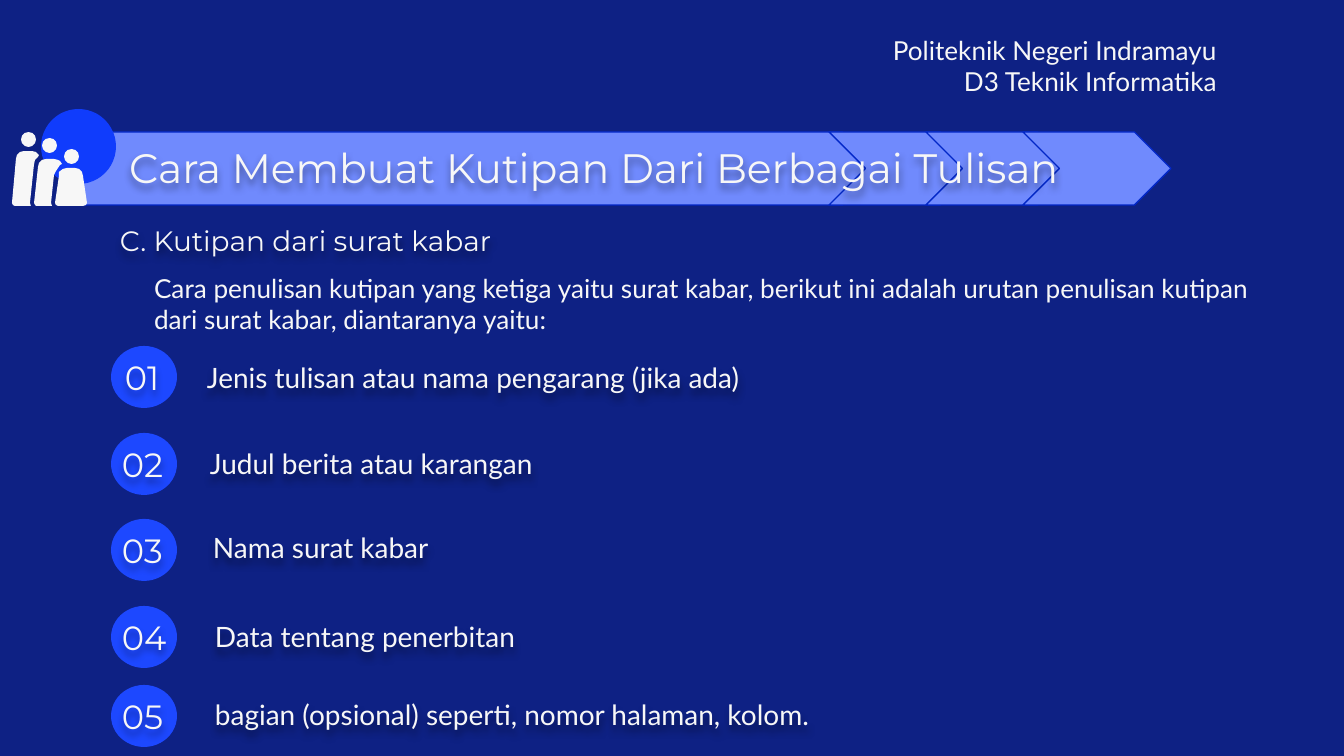
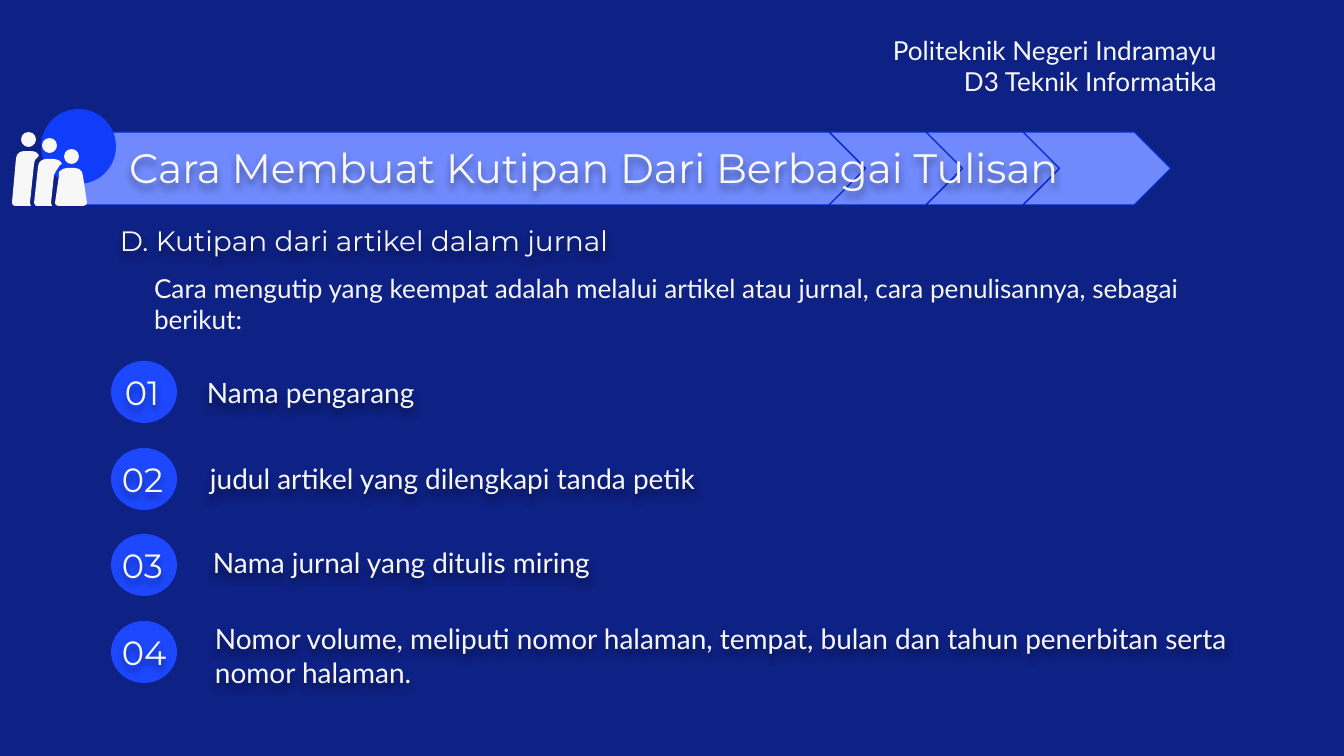
from lxml import etree
from pptx import Presentation
from pptx.dml.color import RGBColor
from pptx.enum.shapes import MSO_SHAPE as Shape
from pptx.enum.text import MSO_ANCHOR as Anchor, MSO_AUTO_SIZE as AutoSize, PP_ALIGN as Align
from pptx.oxml.ns import qn
from pptx.util import Inches, Pt

WIDTH, HEIGHT = 1344, 756
PX = Inches(10) / WIDTH

NAVY, BLUE, BRIGHT = "0E2184", "1D48FF", "103CFC"
RIBBON, RIBBON_EDGE, WHITE = "708AFD", "0227C7", "F7F7F7"
HEADING_FONT, BODY_FONT = "Montserrat", "Lato"

TITLE = "Cara Membuat Kutipan Dari Berbagai Tulisan"
SCHOOL = ["Politeknik Negeri Indramayu", "D3 Teknik Informatika"]

HEADS = [(21, 132), (42, 138), (64, 149)]
BODIES = [
    [(30, 203), (34, 165), (35, 160), (38, 157), (39, 155), (36, 152), (32, 151), (24, 151),
     (20, 152), (17, 155), (16, 159), (12, 203), (13, 205), (15, 206), (31, 206)],
    [(54, 175), (56, 171), (60, 165), (62, 164), (60, 161), (58, 160), (54, 159), (46, 159),
     (42, 160), (39, 163), (38, 167), (34, 203), (35, 205), (36, 206), (52, 206), (51, 203)],
    [(83, 176), (82, 172), (79, 169), (75, 168), (67, 168), (63, 169), (59, 172), (59, 176),
     (55, 203), (56, 205), (58, 206), (83, 206), (86, 205), (87, 203)],
]

# Each step: wording, top of its circle, top of its text box
SECTIONS = [
    ("C. Kutipan dari surat kabar",
     "Cara penulisan kutipan yang ketiga yaitu surat kabar, berikut ini adalah urutan "
     "penulisan kutipan dari surat kabar, diantaranya yaitu:",
     [("Jenis tulisan atau nama pengarang (jika ada)", 346, 348),
      ("Judul berita atau karangan", 433, 434),
      ("Nama surat kabar", 519, 518),
      ("Data tentang penerbitan", 606, 607),
      ("bagian (opsional) seperti, nomor halaman, kolom.", 685, 685)]),
    ("D. Kutipan dari artikel dalam jurnal",
     "Cara mengutip yang keempat adalah melalui artikel atau jurnal, cara penulisannya, "
     "sebagai berikut:",
     [("Nama pengarang", 361, 363),
      ("judul artikel yang dilengkapi tanda petik", 448, 449),
      ("Nama jurnal yang ditulis miring", 534, 533),
      ("Nomor volume, meliputi nomor halaman, tempat, bulan dan tahun penerbitan serta "
       "nomor halaman.", 621, 609)]),
]


def px(length):
    return round(length * PX)


def color(code):
    return RGBColor.from_string(code)


def add_shadow(shape):
    """Cast a soft shadow from the text of an unfilled shape."""
    effects = etree.SubElement(shape.element.spPr, qn("a:effectLst"))
    shadow = etree.SubElement(effects, qn("a:outerShdw"), blurRad="50800", dist="38100",
                              dir="5400000", algn="t", rotWithShape="0")
    black = etree.SubElement(shadow, qn("a:srgbClr"), val="000000")
    etree.SubElement(black, qn("a:alpha"), val="40000")


class Deck:
    def __init__(self):
        self.prs = Presentation()
        self.prs.slide_width, self.prs.slide_height = px(WIDTH), px(HEIGHT)
        background = self.prs.slide_master.background.fill
        background.solid()
        background.fore_color.rgb = color(NAVY)
        self.slide = None

    def new_slide(self):
        self.slide = self.prs.slides.add_slide(self.prs.slide_layouts[5])

    def paint(self, shape, fill, edge=None):
        shape.shadow.inherit = False
        shape.fill.solid()
        shape.fill.fore_color.rgb = color(fill)
        if edge:
            shape.line.color.rgb = color(edge)
            shape.line.width = Pt(0.75)
        else:
            shape.line.fill.background()

    def preset(self, kind, left, top, width, height, fill, edge=None):
        shape = self.slide.shapes.add_shape(kind, px(left), px(top), px(width), px(height))
        self.paint(shape, fill, edge)

    def outline(self, points, fill):
        builder = self.slide.shapes.build_freeform(*points[0], scale=PX)
        builder.add_line_segments(points[1:])
        self.paint(builder.convert_to_shape(), fill)

    def set_text(self, shape, lines, size, font, align=Align.LEFT, anchor=Anchor.TOP,
                 inset=13, shadow=True):
        frame = shape.text_frame
        frame.word_wrap = True
        frame.auto_size = AutoSize.NONE
        frame.vertical_anchor = anchor
        frame.margin_left = frame.margin_right = px(13)
        frame.margin_top = frame.margin_bottom = px(inset)
        frame.text = "\n".join(lines)
        for paragraph in frame.paragraphs:
            paragraph.alignment = align
            paragraph.font.size = Pt(size)
            paragraph.font.name = font
            paragraph.font.color.rgb = color(WHITE)
        if shadow:
            add_shadow(shape)

    def text(self, left, top, width, height, lines, size, font, **style):
        box = self.slide.shapes.add_textbox(px(left), px(top), px(width), px(height))
        self.set_text(box, lines, size, font, **style)

    def title(self, left, top, width, height, words):
        """Fill the title placeholder and bring it in front of the ribbon."""
        title = self.slide.shapes.title
        title.left, title.top = px(left), px(top)
        title.width, title.height = px(width), px(height)
        self.set_text(title, [words], 22, HEADING_FONT)
        title.element.getparent().append(title.element)

    def ribbon(self):
        self.preset(Shape.PENTAGON, 79, 132, 800, 73, RIBBON, RIBBON_EDGE)
        for i in range(3):
            self.preset(Shape.CHEVRON, 829 + 97 * i, 132, 148, 73, RIBBON, RIBBON_EDGE)

    def people(self):
        self.preset(Shape.OVAL, 41, 109, 75, 75, BRIGHT)
        for body in BODIES:
            self.outline(body, WHITE)
        for left, top in HEADS:
            self.preset(Shape.OVAL, left, top, 15, 15, WHITE)

    def step(self, index, words, circle_top, words_top):
        self.preset(Shape.OVAL, 111, circle_top, 66, 62, BLUE)
        self.text(109 if index else 112, circle_top - 2, 80, 52, [f"{index + 1:02}"],
                  18, HEADING_FONT)
        self.text(min(194 + 3 * index, 202), words_top, 1070, 62, [words], 15, BODY_FONT)

    def section(self, heading, intro, steps):
        self.new_slide()
        self.text(786, 22, 444, 87, SCHOOL, 14, BODY_FONT, align=Align.RIGHT,
                  anchor=Anchor.MIDDLE, shadow=False)
        self.ribbon()
        self.people()
        self.title(116, 129, 1024, 94, TITLE)
        self.text(107, 168, 970, 102, [heading], 15, HEADING_FONT, anchor=Anchor.BOTTOM)
        self.text(141, 265, 1136, 77, [intro], 14, BODY_FONT, inset=7, shadow=False)
        for index, step in enumerate(steps):
            self.step(index, *step)


def main():
    deck = Deck()
    for section in SECTIONS:
        deck.section(*section)
    deck.prs.save("out.pptx")


if __name__ == "__main__":
    main()
